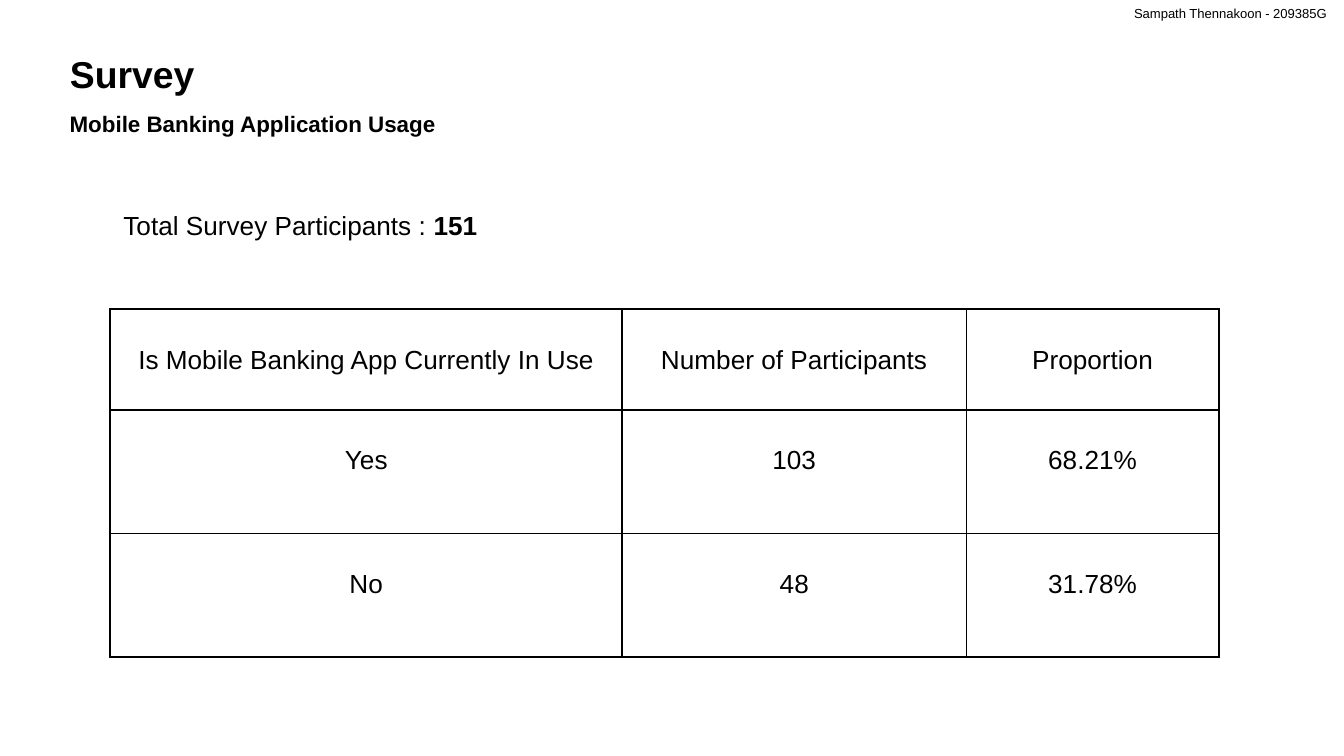
from dataclasses import dataclass

from lxml import etree
from pptx import Presentation
from pptx.dml.color import RGBColor
from pptx.enum import text
from pptx.oxml import ns
from pptx.util import Inches, Pt


@dataclass
class Theme:
    font: str = "Arial"
    ink: str = "000000"
    title: int = 20
    subtitle: int = 12
    body: int = 14
    author: int = 7
    border: int = 1


theme = Theme()


def format_text(text_frame, size, bold=False, alignment=text.PP_ALIGN.LEFT):
    for paragraph in text_frame.paragraphs:
        paragraph.alignment = alignment
        for run in paragraph.runs:
            run.font.name = theme.font
            run.font.size = Pt(size)
            run.font.bold = bold
            run.font.color.rgb = RGBColor.from_string(theme.ink)


def add_borders(cell):
    properties = cell._tc.get_or_add_tcPr()
    for index, side in enumerate(("lnL", "lnR", "lnT", "lnB")):
        line = etree.Element(ns.qn(f"a:{side}"), w=str(Pt(theme.border)))
        fill = etree.SubElement(line, ns.qn("a:solidFill"))
        etree.SubElement(fill, ns.qn("a:srgbClr"), val=theme.ink)
        properties.insert(index, line)


presentation = Presentation()
presentation.slide_width = Inches(10)
presentation.slide_height = Inches(10 * 9 / 16)
slide = presentation.slides.add_slide(presentation.slide_layouts[5])

labels = [
    ("Survey", (0.42, 0.33, 1.14, 0.44), theme.title, True, False),
    ("Mobile Banking Application Usage", (0.42, 0.77, 2.96, 0.3), theme.subtitle, True, False),
    ("Total Survey Participants : ", (0.82, 1.51, 3.63, 0.34), theme.body, False, True),
    ("Sampath Thennakoon - 209385G", (8.34, -0.01, 1.66, 0.22), theme.author, False, True),
]
label_shapes = []
for wording, box, size, bold, wrap in labels:
    left, top, width, height = map(Inches, box)
    if not label_shapes:
        shape = slide.shapes.title
        shape.left, shape.top, shape.width, shape.height = left, top, width, height
    else:
        shape = slide.shapes.add_textbox(left, top, width, height)
    text_frame = shape.text_frame
    text_frame.text = wording
    text_frame.word_wrap = wrap
    text_frame.auto_size = text.MSO_AUTO_SIZE.SHAPE_TO_FIT_TEXT
    text_frame.vertical_anchor = text.MSO_ANCHOR.TOP
    format_text(text_frame, size, bold)
    label_shapes.append(shape)

total_frame = label_shapes[2].text_frame
total_run = total_frame.paragraphs[0].add_run()
total_run.text = "151"
format_text(total_frame, theme.body)
total_run.font.bold = True

survey_rows = [
    ("Is Mobile Banking App Currently In Use", "Number of Participants", "Proportion"),
    ("Yes", "103", "68.21%"),
    ("No", "48", "31.78%"),
]
column_widths = [3.81, 2.56, 1.88]
row_heights = [0.75, 0.92, 0.92]
table = slide.shapes.add_table(
    len(survey_rows), len(column_widths), Inches(0.82), Inches(2.3),
    Inches(sum(column_widths)), Inches(sum(row_heights)),
).table
table.first_row = False
table.horz_banding = False
for column, width in zip(table.columns, column_widths):
    column.width = Inches(width)
for row, height, values in zip(table.rows, row_heights, survey_rows):
    row.height = Inches(height)
    for cell, value in zip(row.cells, values):
        cell.text_frame.text = value
        cell.margin_top = Inches(0.27)
        cell.vertical_anchor = text.MSO_ANCHOR.TOP
        cell.fill.background()
        format_text(cell.text_frame, theme.body, alignment=text.PP_ALIGN.CENTER)
        add_borders(cell)

presentation.save("out.pptx")
